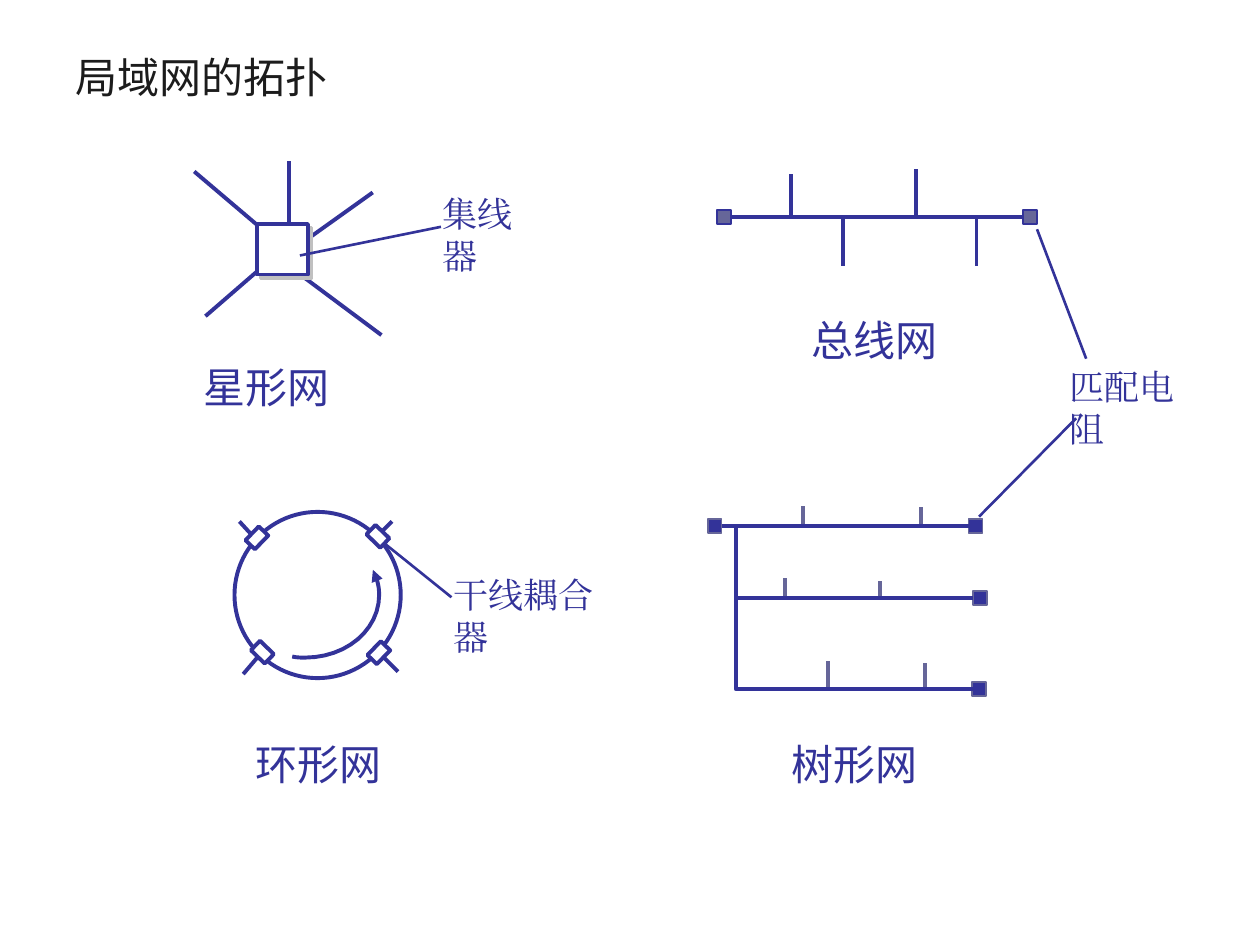
from lxml import etree
from pptx import Presentation
from pptx.dml.color import RGBColor
from pptx.enum import shapes, text
from pptx.oxml import parse_xml
from pptx.oxml.ns import nsdecls, qn
from pptx.util import Pt

NAVY = RGBColor(0x33, 0x33, 0x99)
SLATE = RGBColor(0x66, 0x66, 0x99)
WHITE = RGBColor(0xFF, 0xFF, 0xFF)
INK = RGBColor(0x1C, 0x1C, 0x1C)
SANS = "Noto Sans CJK SC"
SERIF = "Times New Roman"

prs = Presentation()
prs.slide_width, prs.slide_height = Pt(720), Pt(540)
s = prs.slides.add_slide(prs.slide_layouts[5])


def write(sp, content, box, size=24, font=SANS, color=NAVY, wrap=False,
          anchor=text.MSO_ANCHOR.TOP):
    sp.left, sp.top, sp.width, sp.height = map(Pt, box)
    tf = sp.text_frame
    tf.word_wrap = wrap
    tf.auto_size = text.MSO_AUTO_SIZE.NONE
    tf.vertical_anchor = anchor
    p = tf.paragraphs[0]
    p.alignment = text.PP_ALIGN.LEFT
    r = p.add_run()
    r.text = content
    r.font.size, r.font.name = Pt(size), font
    r.font.color.rgb = color
    etree.SubElement(r.font._element, qn("a:ea")).set("typeface", font)


def draw(kind, *at, color=NAVY, width=2.25, fill=WHITE, rotation=0):
    if kind == "line":
        sp = s.shapes.add_connector(shapes.MSO_CONNECTOR.STRAIGHT, *map(Pt, at))
        etree.SubElement(sp._element.spPr, qn("a:effectLst"))
    else:
        sp = s.shapes.add_shape(kind, *map(Pt, at))
        sp.shadow.inherit = False
        sp.fill.solid()
        sp.fill.fore_color.rgb = fill
        sp.rotation = rotation
    sp.line.color.rgb = color
    sp.line.width = Pt(width)
    return sp


RECT = shapes.MSO_SHAPE.RECTANGLE
OVAL = shapes.MSO_SHAPE.OVAL

write(s.shapes.title, "局域网的拓扑", (36, 21.6, 648, 44), color=INK, wrap=True,
      anchor=text.MSO_ANCHOR.MIDDLE)

# star
for ends in [(153.4, 134, 111, 98), (165, 134, 165, 92), (150.5, 152, 117.4, 180.7),
             (165, 152, 218, 191.5), (171.4, 139.7, 213, 110)]:
    draw("line", *ends)
hub = draw(RECT, 147, 128, 29, 29, width=2)
hub._element.spPr.find(qn("a:effectLst")).append(parse_xml(
    f'<a:outerShdw {nsdecls("a")} dist="35900" dir="2700000" algn="ctr" rotWithShape="0">'
    '<a:srgbClr val="C0C0C0"/></a:outerShdw>'))

# bus
bus_left, bus_right = [draw(RECT, x, 120, 8, 8, fill=SLATE, width=1) for x in (409.6, 584.5)]
bus = draw("line", 417.6, 124, 584.5, 124)
bus.begin_connect(bus_left, 3)
bus.end_connect(bus_right, 1)
for x, y in [(452, 99.2), (482, 152.2), (523.5, 96.7), (558, 152.2)]:
    draw("line", x, 124, x, y)

# tree
for x, bottom, top in [(448.6, 342, 330.5), (503, 342, 332), (458.8, 300, 289.3),
                       (526.4, 300, 290), (528.6, 393.5, 378.8), (473, 393.5, 377.5)]:
    draw("line", x, bottom, x, top, color=SLATE)
root, top_end, middle_end, bottom_end = [
    draw(RECT, x, y, 8, 8, color=SLATE, fill=NAVY, width=1)
    for x, y in [(404.4, 296.5), (553.5, 296.5), (556, 337.7), (555.5, 389.8)]]
trunk = draw("line", 412.4, 300.5, 553.5, 300.5)
trunk.begin_connect(root, 3)
trunk.end_connect(top_end, 1)
branch = draw("line", 421, 341.7, 556, 341.7)
branch.end_connect(middle_end, 1)
fb = s.shapes.build_freeform(Pt(420.5), Pt(301))
fb.add_line_segments([(Pt(420.5), Pt(393.8)), (Pt(557), Pt(393.8))], close=False)
stem = fb.convert_to_shape()

# ring
for ends in [(146, 308, 136.8, 298), (224, 298, 215.3, 306.7),
             (227.5, 383.8, 216.7, 373), (147, 375.8, 139, 385.2)]:
    draw("line", *ends)
draw(OVAL, 134, 292.5, 95, 95)
for x, y, w, h in [(141.3, 303.6, 11, 7.5), (211, 369.2, 11, 7.5),
                   (212.2, 301, 7.5, 11), (146.2, 367.2, 7.5, 11)]:
    draw(RECT, x, y, w, h, rotation=314)

curves = [[(167, 375.2), (170, 375.8), (172, 375.8), (174.2, 375.8)],
          [(174.2, 375.8), (198, 375.8), (216.7, 360), (216.7, 339.8)],
          [(216.7, 339.8), (216.7, 334.8), (215.3, 330), (213.1, 325.6)]]
points = []
for curve in curves:
    for step in range(1, 13):
        t = step / 12
        weights = ((1 - t) ** 3, 3 * t * (1 - t) ** 2, 3 * t * t * (1 - t), t ** 3)
        points.append(tuple(Pt(sum(w * c[axis] for w, c in zip(weights, curve)))
                            for axis in (0, 1)))
fb = s.shapes.build_freeform(Pt(167), Pt(375.2))
fb.add_line_segments(points, close=False)
arc = fb.convert_to_shape()

for sp in (stem, arc):
    sp.shadow.inherit = False
    sp.fill.background()
    sp.line.color.rgb = NAVY
    sp.line.width = Pt(2.25)
etree.SubElement(arc.line._get_or_add_ln(), qn("a:tailEnd")).set("type", "triangle")

# labels
for ends in [(592.6, 131, 620.7, 205), (615, 239, 559.5, 295.2),
             (220.3, 311, 258, 341.3), (171.4, 146, 252, 129.6)]:
    draw("line", *ends, width=1.5)
for content, *box in [("匹配电阻", 604, 205.2, 94, 31), ("集线器", 246, 106.5, 74, 31),
                      ("干线耦合器", 252, 324, 114, 31)]:
    write(s.shapes.add_textbox(0, 0, 0, 0), content, box, size=20, font=SERIF, wrap=True)
for content, *box in [("总线网", 456.5, 176.4, 86.4, 36), ("星形网", 109.4, 203, 86.4, 36),
                      ("树形网", 445, 418.3, 98.6, 36), ("环形网", 139, 418.3, 86.4, 36)]:
    write(s.shapes.add_textbox(0, 0, 0, 0), content, box)

prs.save("out.pptx")
